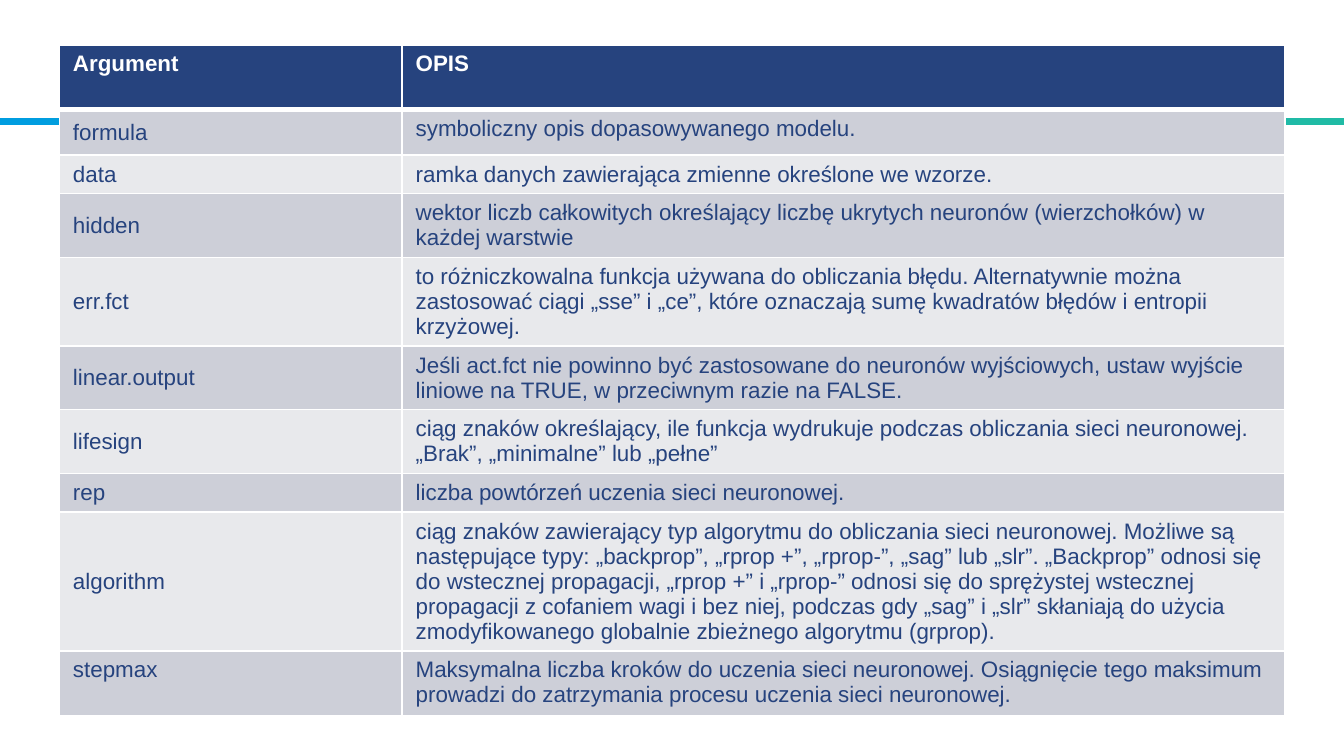
from dataclasses import dataclass

import lxml.etree
import pptx
import pptx.dml.color
import pptx.enum.shapes
import pptx.enum.text
import pptx.oxml.ns
import pptx.util

Pt = pptx.util.Pt
TOP = pptx.enum.text.MSO_ANCHOR.TOP
MIDDLE = pptx.enum.text.MSO_ANCHOR.MIDDLE

NAVY, WHITE = "26437E", "FFFFFF"
BANDS = ("E8E9EC", "CDCFD8")
COLUMN_WIDTHS = (183.6, 473)


@dataclass
class Row:
    height: float
    argument: str
    description: str
    anchor: object = MIDDLE


ROWS = [
    Row(34.6, "Argument", "OPIS", TOP),
    Row(24.5, "formula", "symboliczny opis dopasowywanego modelu."),
    Row(20.2, "data", "ramka danych zawierająca zmienne określone we wzorze."),
    Row(22.3, "hidden", "wektor liczb całkowitych określający liczbę ukrytych "
        "neuronów (wierzchołków) w każdej warstwie"),
    Row(21.6, "err.fct", "to różniczkowalna funkcja używana do obliczania błędu. "
        "Alternatywnie można zastosować ciągi „sse” i „ce”, które oznaczają sumę "
        "kwadratów błędów i entropii krzyżowej."),
    Row(16.6, "linear.output", "Jeśli act.fct nie powinno być zastosowane do neuronów "
        "wyjściowych, ustaw wyjście liniowe na TRUE, w przeciwnym razie na FALSE."),
    Row(17.3, "lifesign", "ciąg znaków określający, ile funkcja wydrukuje podczas "
        "obliczania sieci neuronowej. „Brak”, „minimalne” lub „pełne”"),
    Row(16.6, "rep", "liczba powtórzeń uczenia sieci neuronowej."),
    Row(25.9, "algorithm", "ciąg znaków zawierający typ algorytmu do obliczania sieci "
        "neuronowej. Możliwe są następujące typy: „backprop”, „rprop +”, „rprop-”, "
        "„sag” lub „slr”. „Backprop” odnosi się do wstecznej propagacji, „rprop +” i "
        "„rprop-” odnosi się do sprężystej wstecznej propagacji z cofaniem wagi i bez "
        "niej, podczas gdy „sag” i „slr” skłaniają do użycia zmodyfikowanego globalnie "
        "zbieżnego algorytmu (grprop)."),
    Row(34.6, "stepmax", "Maksymalna liczba kroków do uczenia sieci neuronowej. "
        "Osiągnięcie tego maksimum prowadzi do zatrzymania procesu uczenia sieci "
        "neuronowej.", TOP),
]


def color(value: str) -> pptx.dml.color.RGBColor:
    return pptx.dml.color.RGBColor.from_string(value)


def set_borders(cell, top: float, bottom: float) -> None:
    qn = pptx.oxml.ns.qn
    properties = cell._tc.get_or_add_tcPr()
    for side, width in (("L", 1), ("R", 1), ("T", top), ("B", bottom)):
        line = lxml.etree.SubElement(properties, qn(f"a:ln{side}"), w=str(Pt(width)))
        fill = lxml.etree.SubElement(line, qn("a:solidFill"))
        lxml.etree.SubElement(fill, qn("a:srgbClr"), val=WHITE)


def fill_cell(cell, text: str, row_index: int, anchor) -> None:
    header = row_index == 0
    # The rule under the header is shared by the first two rows
    set_borders(cell, top=3 if row_index == 1 else 1, bottom=3 if header else 1)
    cell.fill.solid()
    cell.fill.fore_color.rgb = color(NAVY if header else BANDS[row_index % 2])
    cell.vertical_anchor = anchor
    span = cell.text_frame.paragraphs[0].add_run()
    span.text = text
    span.font.name = "Arial"
    span.font.size = Pt(12)
    span.font.bold = header
    span.font.color.rgb = color(WHITE if header else NAVY)


def add_bar(slide) -> None:
    bar = slide.shapes.add_shape(
        pptx.enum.shapes.MSO_SHAPE.RECTANGLE, Pt(0), Pt(63.4), Pt(720), Pt(3.6))
    bar.shadow.inherit = False
    bar.line.fill.background()
    bar.fill.gradient()
    bar.fill.gradient_angle = 0
    for stop, value in zip(bar.fill.gradient_stops, ("009DE0", "20BBA5")):
        stop.color.rgb = color(value)


def add_argument_table(slide, rows: list[Row]) -> None:
    frame = slide.shapes.add_table(
        len(rows), len(COLUMN_WIDTHS), Pt(31.9), Pt(24),
        Pt(sum(COLUMN_WIDTHS)), Pt(sum(row.height for row in rows)))
    table = frame.table
    for column, width in zip(table.columns, COLUMN_WIDTHS):
        column.width = Pt(width)
    for index, row in enumerate(rows):
        table.rows[index].height = Pt(row.height)
        fill_cell(table.cell(index, 0), row.argument, index, row.anchor)
        fill_cell(table.cell(index, 1), row.description, index, TOP)


def main() -> None:
    deck = pptx.Presentation()
    deck.slide_width, deck.slide_height = Pt(720), Pt(405)
    slide = deck.slides.add_slide(deck.slide_layouts[6])

    # Gradient bar behind the table
    add_bar(slide)

    # Table of function arguments
    add_argument_table(slide, ROWS)

    deck.save("out.pptx")


if __name__ == "__main__":
    main()
